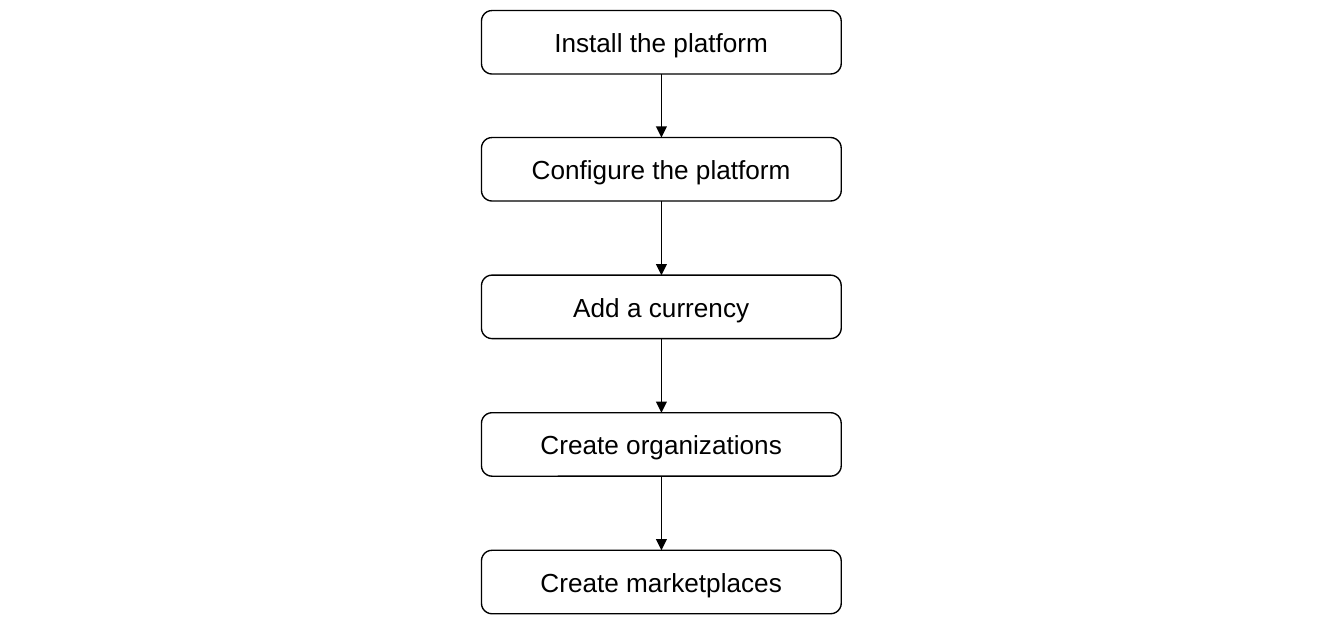
from lxml import etree
from pptx import Presentation
from pptx import util as u
from pptx.dml.color import RGBColor
from pptx.enum import shapes, text
from pptx.oxml.ns import qn

# Centimetres: the flowchart lies on a metric grid.
PAGE_WIDTH, PAGE_HEIGHT = 25.4, 12
LEFT, WIDTH, HEIGHT = 9.1, 6.8, 1.2
STEPS = [
    ("Install the platform", 0.2),
    ("Configure the platform", 2.6),
    ("Add a currency", 5.2),
    ("Create organizations", 7.8),
    ("Create marketplaces", 10.4),
]


def metric(centimetres):
    return u.Inches(centimetres / 2.54)


def colour(value):
    return RGBColor.from_string(value)


class Flowchart:
    """Holds the shared style and the page being drawn."""

    font = "Arial"
    size = 14
    ink = "000000"
    line_width = 0.75

    def __init__(self, page):
        self.page = page

    def outline(self, line):
        line.color.rgb = colour(self.ink)
        line.width = u.Pt(self.line_width)

    def step(self, label, top):
        box = self.page.shapes.add_shape(
            shapes.MSO_SHAPE.ROUNDED_RECTANGLE,
            metric(LEFT), metric(top), metric(WIDTH), metric(HEIGHT))
        box.adjustments[0] = 0.167
        box.shadow.inherit = False
        box.fill.background()
        self.outline(box.line)

        frame = box.text_frame
        frame.word_wrap = False
        frame.vertical_anchor = text.MSO_ANCHOR.MIDDLE
        para = frame.paragraphs[0]
        para.alignment = text.PP_ALIGN.CENTER
        span = para.add_run()
        span.text = label
        span.font.name = self.font
        span.font.size = u.Pt(self.size)
        span.font.color.rgb = colour(self.ink)

    def arrow(self, start, end):
        """Draw a downward arrow on the centre line of the steps."""
        centre = metric(LEFT + WIDTH / 2)
        arrow = self.page.shapes.add_connector(
            shapes.MSO_CONNECTOR.STRAIGHT,
            centre, metric(start), centre, metric(end))
        self.outline(arrow.line)
        properties = arrow._element.spPr
        etree.SubElement(properties.find(qn("a:ln")), qn("a:tailEnd"), type="triangle")
        etree.SubElement(properties, qn("a:effectLst"))


def main():
    deck = Presentation()
    deck.slide_width, deck.slide_height = metric(PAGE_WIDTH), metric(PAGE_HEIGHT)
    chart = Flowchart(deck.slides.add_slide(deck.slide_layouts[6]))
    previous_top = None
    for label, top in STEPS:
        chart.step(label, top)
        if previous_top is not None:
            chart.arrow(previous_top + HEIGHT, top)
        previous_top = top
    deck.save("out.pptx")


if __name__ == "__main__":
    main()
